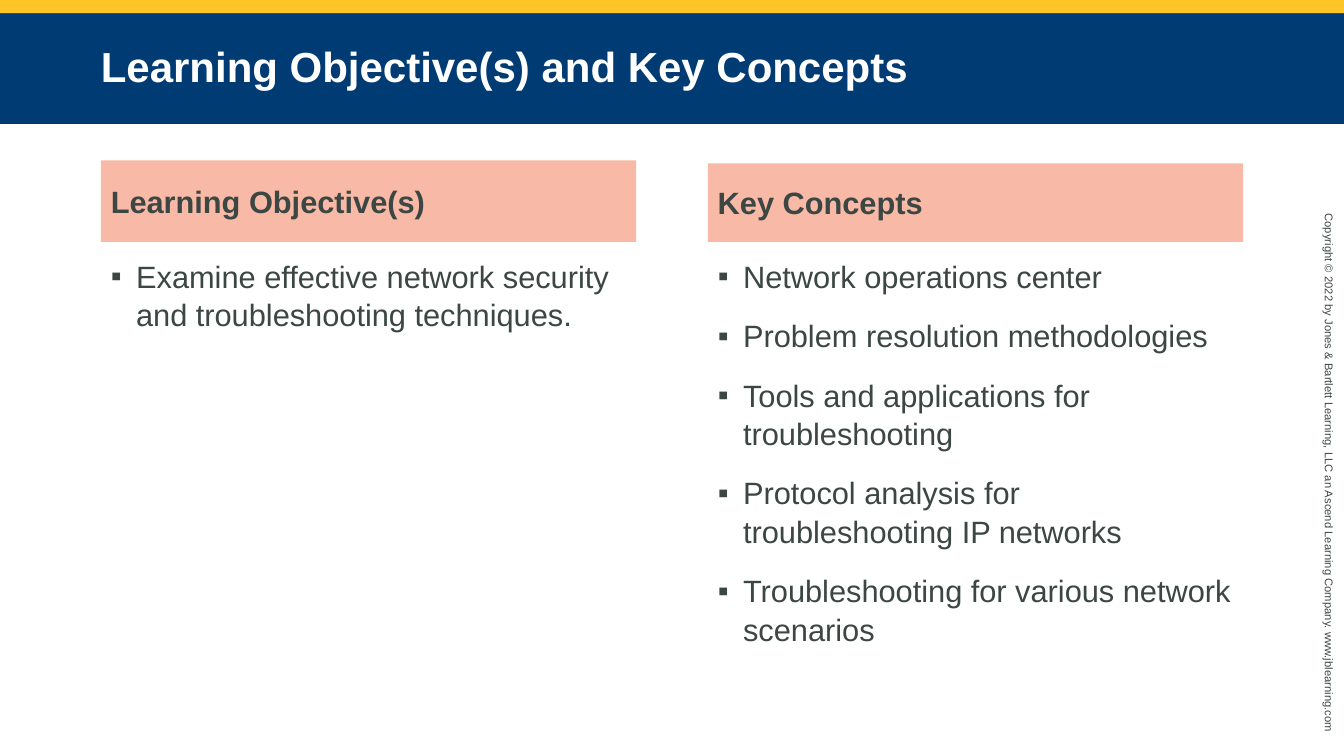
"""Build the slide of learning objectives and key concepts."""
from lxml.etree import SubElement
from pptx import Presentation
from pptx.dml.color import RGBColor
from pptx.enum.shapes import MSO_SHAPE
from pptx.enum.text import MSO_ANCHOR, MSO_AUTO_SIZE, PP_ALIGN
from pptx.oxml.ns import qn
from pptx.util import Inches, Pt

HUES = {"gold": "FFC425", "navy": "003B74", "peach": "F9B9A7", "ink": "3C4743", "white": "FFFFFF"}


def write(shape, *lines, size=22, hue="ink", bold=False, anchor=MSO_ANCHOR.TOP,
          inset=0.1, space=1.0, bullet=None):
    frame = shape.text_frame
    frame.word_wrap = True
    frame.auto_size = MSO_AUTO_SIZE.NONE
    frame.vertical_anchor = anchor
    frame.margin_left = frame.margin_right = Inches(inset)
    frame.margin_top = frame.margin_bottom = Inches(0.05)
    for n, line in enumerate(lines):
        para = frame.add_paragraph() if n else frame.paragraphs[0]
        if bullet:
            props = para._p.get_or_add_pPr()
            props.set("marL", str(Inches(0.25)))
            props.set("indent", str(-Inches(0.25)))
            SubElement(props, qn("a:buFont"), typeface="Arial")
            SubElement(props, qn("a:buChar"), char=bullet)
        para.alignment = PP_ALIGN.LEFT
        para.line_spacing = space
        para.space_before = Pt(15 if n else 0)
        run = para.add_run()
        run.text = line
        font = run.font
        font.name, font.size, font.bold = "Arial", Pt(size), bold
        font.color.rgb = RGBColor.from_string(HUES[hue])


def block(left, top, width, height, hue):
    shape = slide.shapes.add_shape(MSO_SHAPE.RECTANGLE, Inches(left), Inches(top),
                                   Inches(width), Inches(height))
    shape.shadow.inherit = False
    shape.fill.solid()
    shape.fill.fore_color.rgb = RGBColor.from_string(HUES[hue])
    shape.line.fill.background()
    return shape


deck = Presentation()
deck.slide_width, deck.slide_height = Inches(13.33), Inches(7.5)
slide = deck.slides.add_slide(deck.slide_layouts[3])

block(0, 0, 13.33, 0.13, "gold")

note = slide.shapes.add_textbox(Inches(10.44), Inches(4.64), Inches(5.48), Inches(0.24))
note.rotation = 90
write(note, "Copyright © 2022 by Jones & Bartlett Learning, LLC an Ascend Learning Company. "
      "www.jblearning.com", size=8)

title = slide.shapes.title
title.left, title.top = Inches(0), Inches(0.13)
title.width, title.height = Inches(13.33), Inches(1.1)
title.fill.solid()
title.fill.fore_color.rgb = RGBColor.from_string(HUES["navy"])
write(title, "Learning Objective(s) and Key Concepts", size=30, hue="white", bold=True,
      anchor=MSO_ANCHOR.MIDDLE, inset=1, space=0.95)

columns = [
    (1, 1.59, "Learning Objective(s)",
     ["Examine effective network security and troubleshooting techniques."]),
    (7.02, 1.62, "Key Concepts",
     ["Network operations center",
      "Problem resolution methodologies",
      "Tools and applications for troubleshooting",
      "Protocol analysis for troubleshooting IP networks",
      "Troubleshooting for various network scenarios"]),
]
for spot, (left, top, head, items) in enumerate(columns, 1):
    write(block(left, top, 5.31, 2.4 - top, "peach"), head, bold=True, anchor=MSO_ANCHOR.MIDDLE)
    body = slide.placeholders[spot]
    body.left, body.top = Inches(left), Inches(2.49)
    body.width, body.height = Inches(5.31), Inches(4.28)
    write(body, *items, space=1.04, bullet="▪")

deck.save("out.pptx")
